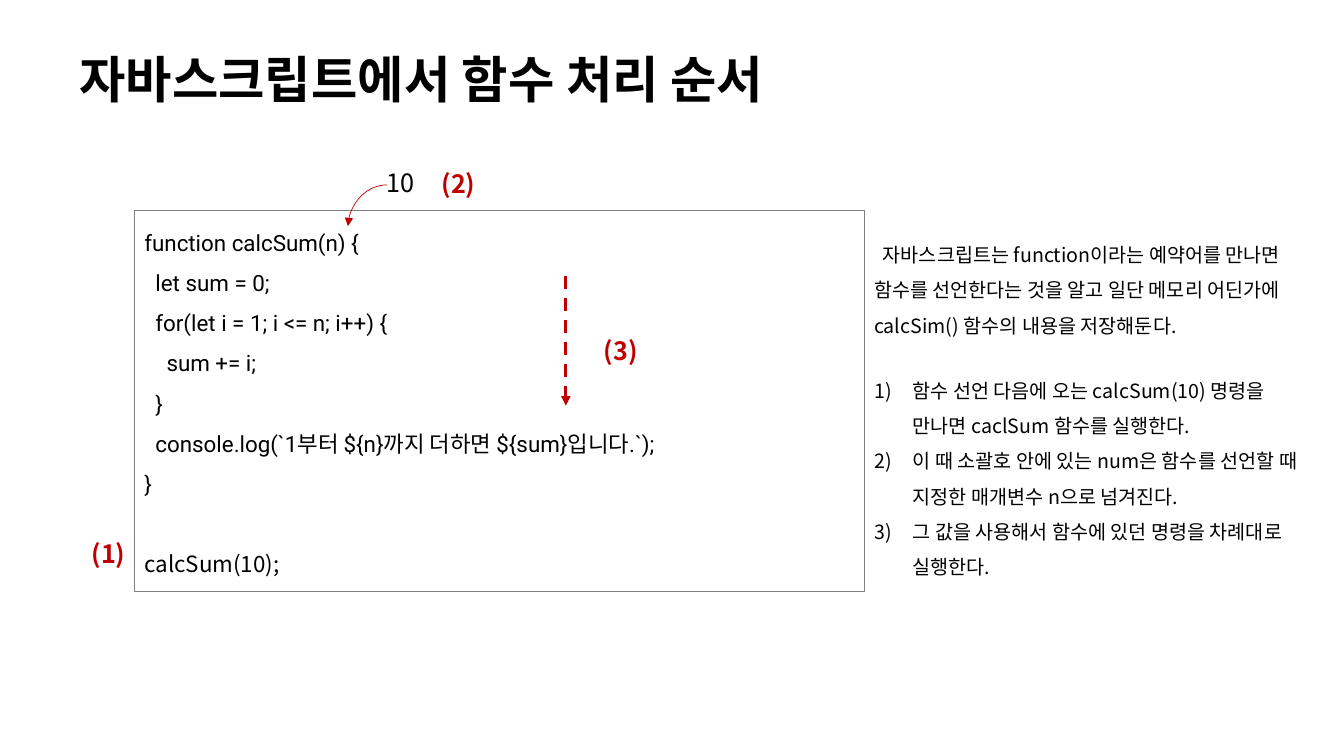
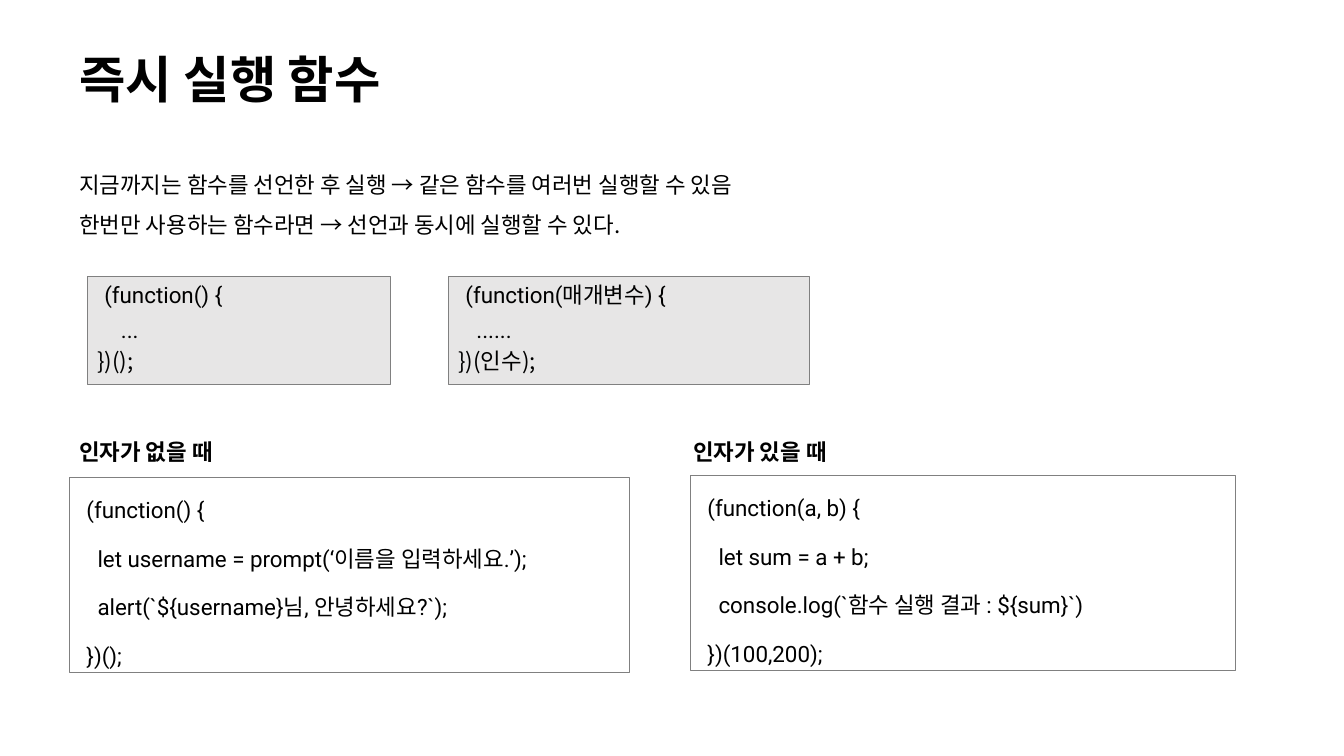
import pptx
import pptx.util
import pptx.dml.color
import pptx.enum.dml
import pptx.enum.shapes
import pptx.enum.text
import pptx.oxml
import pptx.oxml.ns

Cm = pptx.util.Cm
Pt = pptx.util.Pt
qn = pptx.oxml.ns.qn
make = pptx.oxml.xmlchemy.OxmlElement
left = pptx.enum.text.PP_ALIGN.LEFT
top = pptx.enum.text.MSO_ANCHOR.TOP
middle = pptx.enum.text.MSO_ANCHOR.MIDDLE
rect = pptx.enum.shapes.MSO_SHAPE.RECTANGLE
link = pptx.enum.shapes.MSO_CONNECTOR

colors = {"text": "000000", "red": "C00000", "gray": "E7E6E6", "edge": "808080"}
rgb = {key: pptx.dml.color.RGBColor.from_string(val) for key, val in colors.items()}
noto = "Noto Sans CJK KR"
roboto = "Roboto"

head = {"size": Pt(36), "bold": True, "name": noto}
body = {"size": Pt(16), "name": noto}
code = {"size": Pt(16), "name": roboto}
small = {"size": Pt(14), "name": noto}
label = {"size": Pt(18), "name": noto}
mark = {"size": Pt(18), "name": noto, "bold": True}
wide = {"line_spacing": 1.5}
tight = {"space_before": Pt(3), "space_after": Pt(3)}


def write(shape, lines, font, para={}, color="text", anchor=top):
    frame = shape.text_frame
    frame.word_wrap = True
    frame.auto_size = pptx.enum.text.MSO_AUTO_SIZE.NONE
    frame.vertical_anchor = anchor
    for pos, line in enumerate(lines):
        text, extra = line if isinstance(line, tuple) else (line, {})
        part = frame.paragraphs[0] if pos == 0 else frame.add_paragraph()
        style = {"alignment": left, **para, **extra}
        margin = style.pop("margin", 0)
        indent = style.pop("indent", 0)
        number = style.pop("number", False)
        face = {**font, "name": style.pop("face", font["name"])}
        if pos == 0:
            style["space_before"] = Pt(0)
        for key, val in style.items():
            setattr(part, key, val)
        props = part._p.get_or_add_pPr()
        props.set("marL", str(int(Cm(margin))))
        props.set("indent", str(int(Cm(indent))))
        if number:
            bullet = make("a:buAutoNum")
            bullet.set("type", "arabicParenR")
            props.append(bullet)
        run = part.add_run()
        run.text = text
        for key, val in face.items():
            setattr(run.font, key, val)
        run.font.color.rgb = rgb[color]
        asian = make("a:ea")
        asian.set("typeface", noto)
        run.font._element.append(asian)


def panel(slide, place, lines, para, fill=None):
    box = slide.shapes.add_shape(rect, *map(Cm, place))
    box.shadow.inherit = False
    if fill:
        box.fill.solid()
        box.fill.fore_color.rgb = rgb[fill]
    else:
        box.fill.background()
    box.line.color.rgb = rgb["edge"]
    box.line.width = Pt(0.75)
    write(box, lines, code, para)


deck = pptx.Presentation()
deck.slide_width, deck.slide_height = Cm(33.87), Cm(19.05)
slides = []
for text in ["자바스크립트에서 함수 처리 순서", "즉시 실행 함수"]:
    slide = deck.slides.add_slide(deck.slide_layouts[5])
    title = slide.shapes.title
    frame = {"left": 1.75, "top": 0.9, "width": 24.75, "height": 2.33}
    for key, val in frame.items():
        setattr(title, key, Cm(val))
    write(title, [text], head, {"line_spacing": 0.9}, anchor=middle)
    slides.append(slide)
order, instant = slides

panel(order, (3.39, 5.3, 18.39, 9.61), [
    "function calcSum(n) {",
    "  let sum = 0;",
    "  for(let i = 1; i <= n; i++) {",
    "    sum += i;",
    "  }",
    "  console.log(`1부터 ${n}까지 더하면 ${sum}입니다.`);",
    "}",
    ("calcSum(10);", {"space_before": Pt(28), "face": noto}),
], wide)

for text, x, y, width, font, color in [
    ("(1)", 2.06, 13.44, 2.06, mark, "red"),
    ("10", 9.5, 4.08, 1.6, label, "text"),
    ("(2)", 10.88, 4.11, 2.34, mark, "red"),
    ("(3)", 14.97, 8.32, 2.34, mark, "red"),
]:
    box = order.shapes.add_textbox(Cm(x), Cm(y), Cm(width), Cm(1.03))
    write(box, [text], font, color=color)

for kind, ends, width, dash in [
    (link.STRAIGHT, (14.26, 6.96, 14.26, 10.22), 2.25, pptx.enum.dml.MSO_LINE.DASH),
    (link.CURVE, (9.76, 4.66, 8.77, 5.7), 0.5, None),
]:
    arrow = order.shapes.add_connector(kind, *map(Cm, ends))
    arrow.line.color.rgb = rgb["red"]
    arrow.line.width = Pt(width)
    arrow.line.dash_style = dash
    tip = make("a:tailEnd")
    tip.set("type", "triangle")
    arrow.line._get_or_add_ln().append(tip)
    props = arrow._element.spPr
    props.append(make("a:effectLst"))
    if kind == link.CURVE:
        props.find(qn("a:prstGeom")).set("prst", "curvedConnector2")

step = {"margin": 0.97, "indent": -0.97, "number": True}
notes = order.shapes.add_textbox(Cm(21.78), Cm(5.7), Cm(11.22), Cm(9))
write(notes, [
    ("자바스크립트는 function이라는 예약어를 만나면 함수를 선언한다는 것을 알고 일단 메모리 어딘가에 calcSim() 함수의 내용을 저장해둔다.",
     {"indent": 0.22}),
    ("함수 선언 다음에 오는 calcSum(10) 명령을 만나면 caclSum 함수를 실행한다.",
     {**step, "space_before": Pt(21.5)}),
    ("이 때 소괄호 안에 있는 num은 함수를 선언할 때 지정한 매개변수 n으로 넘겨진다.", step),
    ("그 값을 사용해서 함수에 있던 명령을 차례대로 실행한다.", step),
], small, wide)

intro = instant.shapes.add_textbox(Cm(1.75), Cm(3.84), Cm(20.88), Cm(2.18))
write(intro, [
    "지금까지는 함수를 선언한 후 실행 → 같은 함수를 여러번 실행할 수 있음",
    "한번만 사용하는 함수라면 → 선언과 동시에 실행할 수 있다.",
], body, wide)

inset = {**tight, "margin": 0.18}
for x, width, lines, last in [
    (2.2, 7.65, ["(function() {", "   ..."], "})();"),
    (11.3, 9.1, ["(function(매개변수) {", "  ......"], "})(인수);"),
]:
    parts = [(line, inset) for line in lines] + [(last, {"face": noto})]
    panel(instant, (x, 6.96, width, 2.72), parts, {}, "gray")

for text, x, place, lines in [
    ("인자가 없을 때", 1.75, (1.75, 12.04, 14.12, 4.9), [
        "(function() {",
        "  let username = prompt(‘이름을 입력하세요.’);",
        "  alert(`${username}님, 안녕하세요?`);",
        "})();",
    ]),
    ("인자가 있을 때", 17.22, (17.4, 11.99, 13.74, 4.9), [
        "(function(a, b) {",
        "  let sum = a + b;",
        "  console.log(`함수 실행 결과 : ${sum}`)",
        "})(100,200);",
    ]),
]:
    panel(instant, place, lines, {**wide, **inset})
    box = instant.shapes.add_textbox(Cm(x), Cm(10.92), Cm(7.65), Cm(0.94))
    write(box, [text], {**body, "bold": True})

deck.save("out.pptx")
